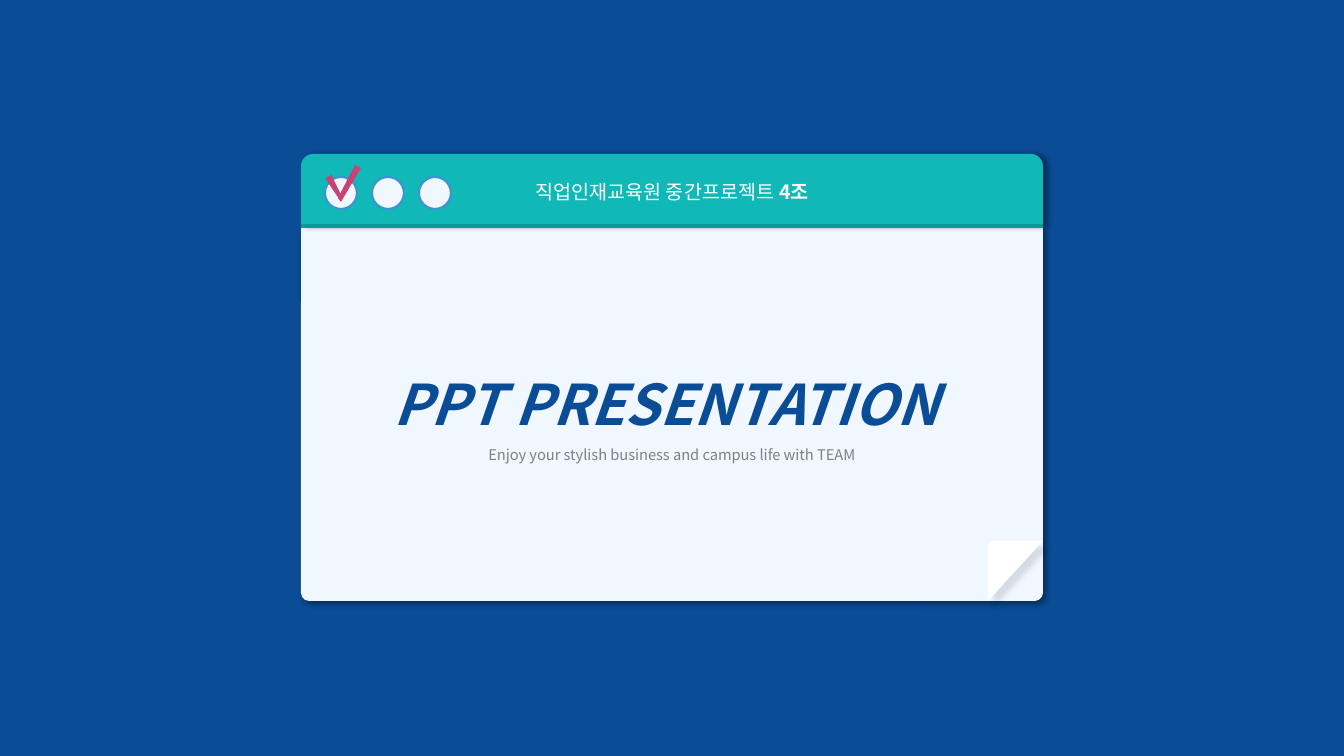
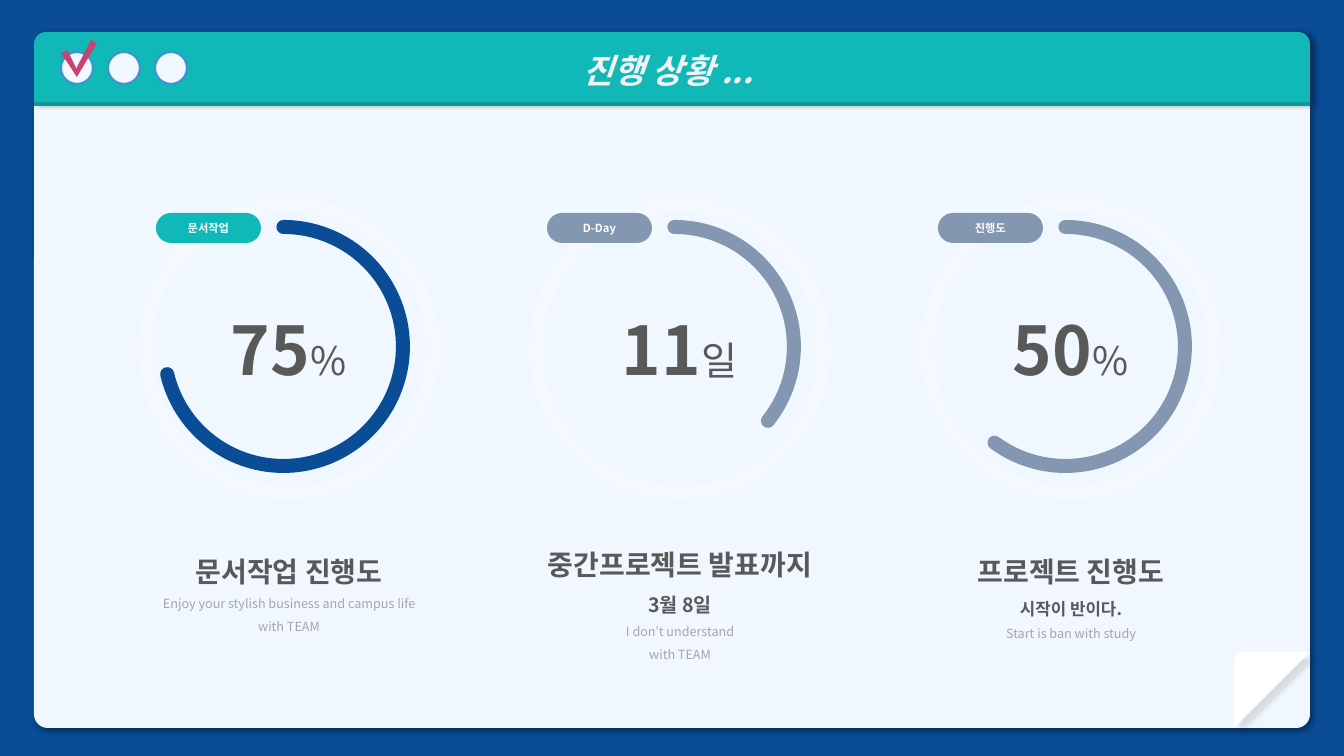
"""Builds a title slide and a progress slide that share a window-like card."""
from dataclasses import dataclass
from math import cos, pi, sin

from lxml import etree
from pptx import Presentation
from pptx.dml.color import RGBColor
from pptx.enum.shapes import MSO_CONNECTOR, MSO_SHAPE
from pptx.enum.text import MSO_ANCHOR, MSO_AUTO_SIZE, PP_ALIGN
from pptx.oxml.ns import qn
from pptx.util import Emu, Pt

SLIDE_WIDTH = 1344
SLIDE_HEIGHT = 756
SCALE = 12192000 / SLIDE_WIDTH
ROUND_TOP = MSO_SHAPE.ROUND_2_SAME_RECTANGLE
ROUNDED = MSO_SHAPE.ROUNDED_RECTANGLE
TRAPEZOID = MSO_SHAPE.TRAPEZOID
OVAL = MSO_SHAPE.OVAL
ARC = MSO_SHAPE.ARC
STRAIGHT = MSO_CONNECTOR.STRAIGHT
CENTER = PP_ALIGN.CENTER
MIDDLE = MSO_ANCHOR.MIDDLE
TOP = MSO_ANCHOR.TOP
NO_AUTOFIT = MSO_AUTO_SIZE.NONE


@dataclass(frozen=True)
class Theme:
    font: str = "Noto Sans CJK KR"
    navy: str = "0A4C96"
    paper: str = "F0F7FF"
    teal: str = "10B8B7"
    dark_teal: str = "0D9A97"
    sky: str = "3E93D3"
    pink: str = "C84374"
    slate: str = "8497B0"
    white: str = "FFFFFF"
    light: str = "F2F2F2"
    dark: str = "595959"
    gray: str = "808080"
    pale: str = "A6A6A6"
    cover: float = 40
    title: float = 24
    number: float = 48
    unit: float = 28
    heading: float = 20
    band: float = 14
    remark: float = 12
    subtitle: float = 10.5
    note: float = 9
    pill: float = 8


theme = Theme()


def px(*lengths):
    return [Emu(round(length * SCALE)) for length in lengths]


def style(shape, fill=None, line=None, width=0, shadow=None):
    if fill:
        shape.fill.solid()
        shape.fill.fore_color.rgb = RGBColor.from_string(fill)
    else:
        shape.fill.background()
    if line:
        shape.line.color.rgb = RGBColor.from_string(line)
        shape.line.width = Pt(width)
    else:
        shape.line.fill.background()
    shape.shadow.inherit = False
    if shadow:
        opacity, blur, distance, degrees = shadow
        effects = shape.element.spPr.find(qn("a:effectLst"))
        outer = etree.SubElement(
            effects, qn("a:outerShdw"), blurRad=str(Pt(blur)), dist=str(Pt(distance)),
            dir=str(degrees * 60000), algn="ctr", rotWithShape="0")
        black = etree.SubElement(outer, qn("a:srgbClr"), val="000000")
        etree.SubElement(black, qn("a:alpha"), val=str(opacity * 1000))
    return shape


def write(shape, paragraphs, anchor=MIDDLE, spacing=1.0, italic=False):
    frame = shape.text_frame
    frame.word_wrap = True
    frame.auto_size = NO_AUTOFIT
    frame.vertical_anchor = anchor
    for index, (color, runs) in enumerate(paragraphs):
        paragraph = frame.add_paragraph() if index else frame.paragraphs[0]
        paragraph.alignment = CENTER
        paragraph.line_spacing = spacing
        paragraph.space_before = Pt(0)
        paragraph.font.name = theme.font
        paragraph.font.italic = italic
        paragraph.font.color.rgb = RGBColor.from_string(color)
        for text, size, bold in runs:
            run = paragraph.add_run()
            run.text = text
            run.font.size = Pt(size)
            run.font.bold = bold
        for properties in paragraph._p.iter(qn("a:defRPr"), qn("a:rPr")):
            etree.SubElement(properties, qn("a:ea"), typeface=theme.font)


presentation = Presentation()
presentation.slide_width, presentation.slide_height = px(SLIDE_WIDTH, SLIDE_HEIGHT)
background = presentation.slide_master.background.fill
background.solid()
background.fore_color.rgb = RGBColor.from_string(theme.navy)

BAND_HEIGHT = 72
CARD_SHADOW = 40, 4, 3
CHECK_STROKE = (36, -9), (16, 25), (13, 21), (30, -12)
cards = [
    (0, (301, 154, 742, 447), (325, 177), (55, 60)),
    (5, (34, 32, 1276, 696), (61, 52), (76, 76)),
]
slides = []
bands = []
for layout, (left, top, width, height), (dot_left, dot_top), (fold_width, fold_height) in cards:
    slide = presentation.slides.add_slide(presentation.slide_layouts[layout])
    shapes = slide.shapes
    right, bottom = left + width, top + height
    band_bottom = top + BAND_HEIGHT

    card = shapes.add_shape(ROUND_TOP, *px(left, band_bottom, width, bottom - band_bottom))
    card.adjustments[0], card.adjustments[1] = 0, 0.022
    style(card, theme.paper, shadow=(*CARD_SHADOW, 45))
    band = shapes.add_shape(ROUND_TOP, *px(left, top, width, BAND_HEIGHT))
    style(band, theme.teal, shadow=(*CARD_SHADOW, 0))
    edge = shapes.add_connector(STRAIGHT, *px(left, band_bottom, right, band_bottom))
    edge.line.color.rgb = RGBColor.from_string(theme.dark_teal)
    edge.line.width = Pt(2.5)
    etree.SubElement(edge.element.spPr, qn("a:effectLst"))

    fold_left, fold_top = right - fold_width, bottom - fold_height
    radius = fold_width * 0.12
    corner = [
        (fold_left + radius * (1 - cos(step * pi / 12)),
         fold_top + radius * (1 - sin(step * pi / 12)))
        for step in range(7)
    ]
    builder = shapes.build_freeform(*px(fold_left, bottom))
    builder.add_line_segments([px(*point) for point in [*corner, (right, fold_top)]])
    style(builder.convert_to_shape(), theme.white, shadow=(11, 4, 6, 45))

    for index in range(3):
        dot = shapes.add_shape(OVAL, *px(dot_left + index * 47, dot_top, 32, 32))
        style(dot, theme.paper, theme.sky, 1.5)
    short_stroke = shapes.add_shape(TRAPEZOID, *px(dot_left + 6, dot_top - 2, 7, 25))
    short_stroke.rotation = 150
    style(short_stroke, theme.pink)
    start, *rest = [px(dot_left + x, dot_top + y) for x, y in CHECK_STROKE]
    builder = shapes.build_freeform(*start)
    builder.add_line_segments(rest)
    style(builder.convert_to_shape(), theme.pink)

    for placeholder in list(slide.placeholders):
        shapes.element.append(placeholder.element)
    slides.append(slide)
    bands.append(band)

cover, progress = slides
write(bands[0], [(theme.white, [("직업인재교육원 중간프로젝트 ", theme.band, False),
                                ("4조", theme.band, True)])])
title = cover.shapes.title
title.left, title.top, title.width, title.height = px(295, 358, 742, 90)
write(title, [(theme.navy, [("PPT PRESENTATION", theme.cover, True)])], italic=True)
subtitle = cover.placeholders[1]
subtitle.left, subtitle.top, subtitle.width, subtitle.height = px(301, 437, 742, 36)
write(subtitle, [(theme.gray, [("Enjoy your stylish business and campus life with TEAM",
                                theme.subtitle, False)])])

title = progress.shapes.title
title.left, title.top, title.width, title.height = px(30, 34, 1276, BAND_HEIGHT)
write(title, [(theme.light, [("진행 상황 ...", theme.title, True)])], italic=True)

GAUGE_LEFT = 145
GAUGE_STEP = 391
RING_SIZE = 288
gauges = [
    ("문서작업", theme.teal, theme.navy, 166.6, "75", "%", 533, 288, [
        ("문서작업 진행도", theme.heading, True),
        ("Enjoy your stylish business and campus life with TEAM", theme.note, False)]),
    ("D-Day", theme.slate, theme.slate, 38.5, "11", "일", 526, 326, [
        ("중간프로젝트 발표까지", theme.heading, True),
        ("3월 8일", theme.band, True),
        ("I don’t understand", theme.note, False),
        ("with TEAM", theme.note, False)]),
    ("진행도", theme.slate, theme.slate, 126.4, "50", "%", 533, 288, [
        ("프로젝트 진행도", theme.heading, True),
        ("시작이 반이다.", theme.remark, True),
        ("Start is ban with study", theme.note, False)]),
]
shapes = progress.shapes
for index, gauge in enumerate(gauges):
    label, pill_color, arc_color, end, number, unit, caption_top, caption_width, lines = gauge
    left = GAUGE_LEFT + index * GAUGE_STEP

    ring = style(shapes.add_shape(OVAL, *px(left, 205, RING_SIZE, RING_SIZE)),
                 line=theme.white, width=10)
    ring_color = next(ring.line._ln.iter(qn("a:srgbClr")))
    etree.SubElement(ring_color, qn("a:alpha"), val="30000")

    arc = shapes.add_shape(ARC, *px(left + 19, 227, 239, 239))
    arc.adjustments[0], arc.adjustments[1] = 270 * 0.6, end * 0.6
    style(arc, line=arc_color, width=10)
    arc.line._ln.set("cap", "rnd")

    value = shapes.add_textbox(*px(left + 63, 303, 161, 92))
    write(value, [(theme.dark, [(number, theme.number, True), (unit, theme.unit, False)])], TOP)

    caption_left = left + (RING_SIZE - caption_width) / 2
    caption = shapes.add_textbox(*px(caption_left, caption_top, caption_width, 120))
    write(caption, [(theme.dark if bold else theme.pale, [(text, size, bold)])
                    for text, size, bold in lines], TOP, 1.5)

    pill = shapes.add_shape(ROUNDED, *px(left + 11, 213, 105, 30))
    pill.adjustments[0] = 0.5
    style(pill, pill_color)
    write(pill, [(theme.white, [(label, theme.pill, True)])])

presentation.save("out.pptx")
